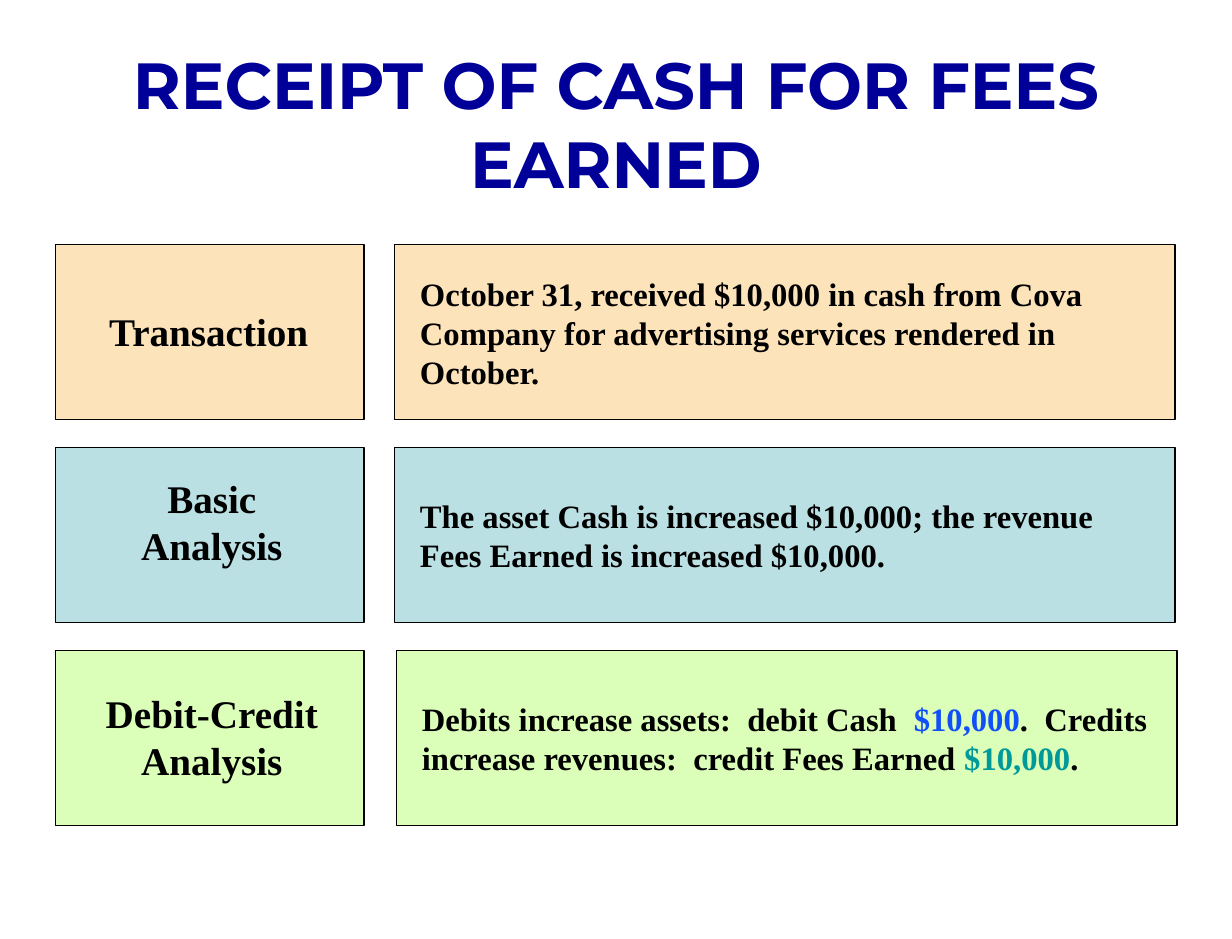
import pptx
import pptx.dml.color
import pptx.enum.shapes
import pptx.enum.text
import pptx.util

Pt = pptx.util.Pt
ALIGN = pptx.enum.text.PP_ALIGN
BLACK = "000000"
SERIF = "Times New Roman"

FIRST_TOP, ROW_PITCH, CARD_HEIGHT = 150, 124.5, 107.3
LABEL_LEFT, LABEL_WIDTH = 34, 189.4
DETAIL_WIDTH = 478.8
DETAIL_INDENT = 8.4

# label_box: left, offset below the card top, width, height.
# detail_box: offset below the card top, width, height.
ROWS = [
    {
        "fill": "FDE3BA",
        "label": ["Transaction"],
        "label_box": (59, 35, 138.2, 36),
        "detail_left": 242.2,
        "detail_box": (14.2, 426.2, 79.2),
        "detail": [("October 31, received $10,000 in cash from Cova Company "
                    "for advertising services rendered in October.", BLACK)],
    },
    {
        "fill": "BBE0E3",
        "label": ["Basic", "Analysis"],
        "label_box": (70, 13, 120, 64.8),
        "detail_left": 242.2,
        "detail_box": (26, 433.4, 54.7),
        "detail": [("The asset Cash is increased $10,000; the revenue "
                    "Fees Earned is increased $10,000.", BLACK)],
    },
    {
        "fill": "DBFFB8",
        "label": ["Debit-Credit", "Analysis"],
        "label_box": (50, 20.3, 160, 64.8),
        "detail_left": 243.4,
        "detail_box": (26, 463.7, 54.7),
        "detail": [
            ("Debits increase assets:  debit Cash  ", BLACK),
            ("$10,000", "114FFB"),
            (".  Credits increase revenues:  credit Fees Earned ", BLACK),
            ("$10,000", "009999"),
            (".", BLACK),
        ],
    },
]


def rgb(hex_colour):
    return pptx.dml.color.RGBColor.from_string(hex_colour)


def add_run(paragraph, text, size, colour, font_name=SERIF):
    run = paragraph.add_run()
    run.text = text
    run.font.name = font_name
    run.font.size = Pt(size)
    run.font.bold = True
    run.font.color.rgb = rgb(colour)


def set_title(slide, text):
    title = slide.shapes.title
    title.left, title.top, title.width, title.height = Pt(0), Pt(23.8), Pt(756), Pt(54.7)
    frame = title.text_frame
    frame.word_wrap = True
    frame.vertical_anchor = pptx.enum.text.MSO_ANCHOR.TOP
    frame.auto_size = pptx.enum.text.MSO_AUTO_SIZE.SHAPE_TO_FIT_TEXT
    heading = frame.paragraphs[0]
    heading.alignment = ALIGN.CENTER
    add_run(heading, text, 40, "000099", "Montserrat")


def add_card(slide, left, top, width, fill):
    card = slide.shapes.add_shape(
        pptx.enum.shapes.MSO_SHAPE.RECTANGLE, Pt(left), Pt(top), Pt(width), Pt(CARD_HEIGHT))
    card.shadow.inherit = False
    card.fill.solid()
    card.fill.fore_color.rgb = rgb(fill)
    card.line.color.rgb = rgb(BLACK)
    card.line.width = Pt(1)


def add_text(slide, box, paragraphs, size, alignment):
    """Add a text box; each paragraph is a list of (text, colour) runs."""
    frame = slide.shapes.add_textbox(*(Pt(length) for length in box)).text_frame
    frame.word_wrap = True
    for index, runs in enumerate(paragraphs):
        paragraph = frame.add_paragraph() if index else frame.paragraphs[0]
        paragraph.alignment = alignment
        for text, colour in runs:
            add_run(paragraph, text, size, colour)


def add_row(slide, top, row):
    add_card(slide, LABEL_LEFT, top, LABEL_WIDTH, row["fill"])
    left, offset, width, height = row["label_box"]
    label_lines = [[(line, BLACK)] for line in row["label"]]
    add_text(slide, (left, top + offset, width, height), label_lines, 24, ALIGN.CENTER)

    add_card(slide, row["detail_left"], top, DETAIL_WIDTH, row["fill"])
    offset, width, height = row["detail_box"]
    detail_box = (row["detail_left"] + DETAIL_INDENT, top + offset, width, height)
    add_text(slide, detail_box, [row["detail"]], 20, ALIGN.LEFT)


def main():
    presentation = pptx.Presentation()
    presentation.slide_width = Pt(756)
    presentation.slide_height = Pt(576)
    slide = presentation.slides.add_slide(presentation.slide_layouts.get_by_name("Title Only"))
    set_title(slide, "RECEIPT OF CASH FOR FEES EARNED")
    for index, row in enumerate(ROWS):
        add_row(slide, FIRST_TOP + index * ROW_PITCH, row)
    presentation.save("out.pptx")


if __name__ == "__main__":
    main()
